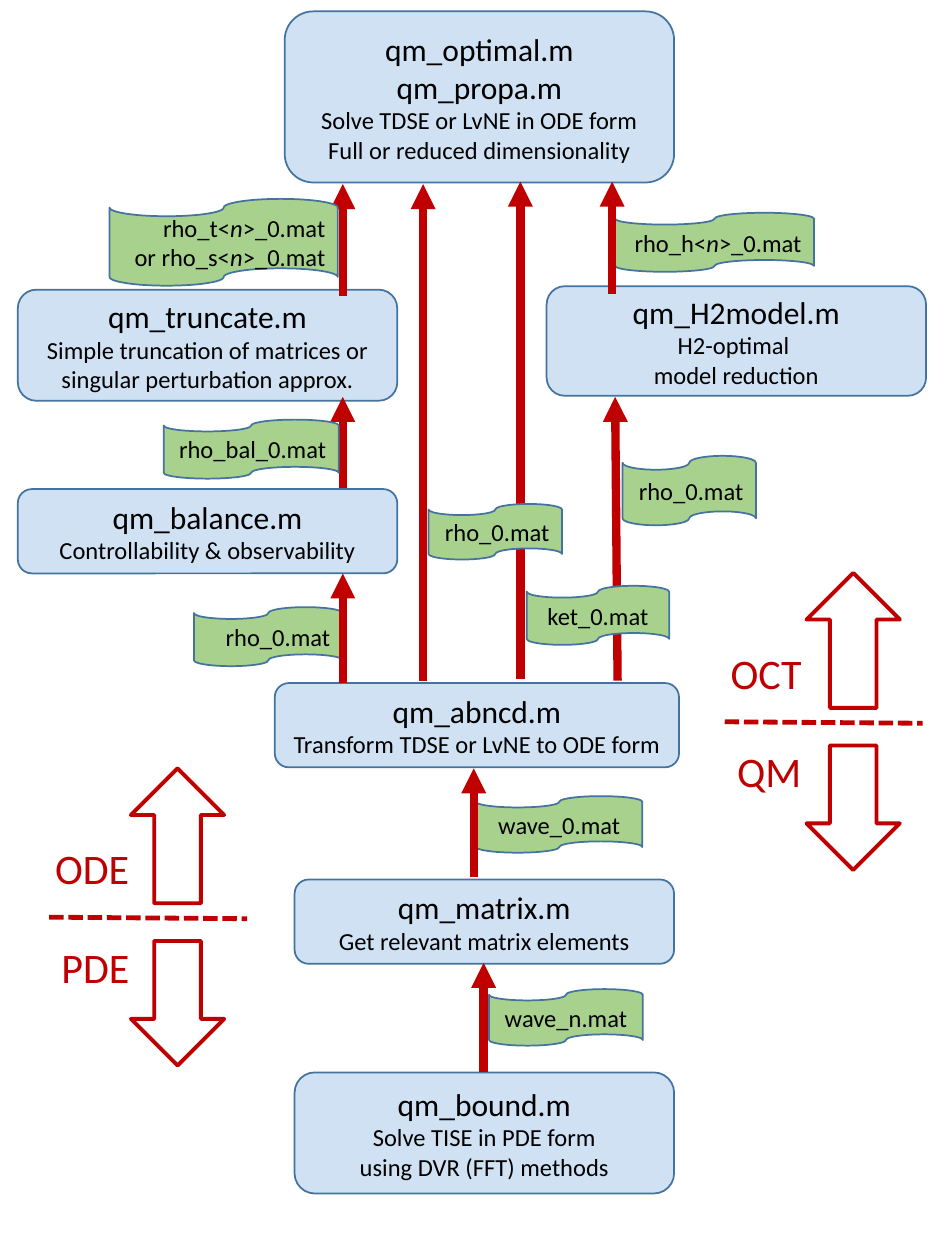
from lxml import etree
from pptx import Presentation
from pptx.dml.color import RGBColor
from pptx.enum.dml import MSO_LINE
from pptx.enum.shapes import MSO_CONNECTOR, MSO_SHAPE
from pptx.enum.text import MSO_ANCHOR, PP_ALIGN
from pptx.oxml.ns import qn
from pptx.util import Cm, Pt

BOX = MSO_SHAPE.FLOWCHART_ALTERNATE_PROCESS
TAPE = MSO_SHAPE.FLOWCHART_PUNCHED_TAPE
UP, DOWN = MSO_SHAPE.UP_ARROW, MSO_SHAPE.DOWN_ARROW
STRAIGHT = MSO_CONNECTOR.STRAIGHT
DASH = MSO_LINE.SQUARE_DOT
MIDDLE = MSO_ANCHOR.MIDDLE
LEFT, CENTER, RIGHT = PP_ALIGN.LEFT, PP_ALIGN.CENTER, PP_ALIGN.RIGHT


def color(value):
    """Turn a hex string into a colour."""
    return RGBColor.from_string(value)


class Flowchart:
    """Holds the style and the page, and draws each kind of element."""

    font = "Calibri"
    ink, red, edge = "000000", "C00000", "43739E"
    blue, green = "5B9BD5", "A9D18E"
    title_size, body_size, label_size = 18, 14, 24

    def __init__(self, page):
        """Start drawing on a page."""
        self.shapes = page.shapes

    def add_text(self, para, text, size, ink, align):
        """Fill a paragraph; stars enclose italics, newlines break lines."""
        para.alignment = align
        for row, line in enumerate(text.split("\n")):
            if row:
                para.add_line_break()
            for index, part in enumerate(line.split("*")):
                span = para.add_run()
                span.text = part
                span.font.name = self.font
                span.font.size = Pt(size)
                span.font.color.rgb = color(ink)
                if index % 2:
                    span.font.italic = True

    def shape(self, kind, place, line, width, fill=None):
        """Add a preset shape with an outline and an optional fill."""
        shape = self.shapes.add_shape(kind, *map(Cm, place))
        shape.shadow.inherit = False
        shape.line.color.rgb = color(line)
        shape.line.width = Pt(width)
        if fill:
            shape.fill.solid()
            shape.fill.fore_color.rgb = color(fill)
        else:
            shape.fill.background()
        return shape

    def paragraphs(self, shape, lines, align):
        """Put (text, size) lines into a shape."""
        frame = shape.text_frame
        frame.word_wrap = True
        frame.vertical_anchor = MIDDLE
        for index, (text, size) in enumerate(lines):
            para = frame.add_paragraph() if index else frame.paragraphs[0]
            self.add_text(para, text, size, self.ink, align)
        return frame

    def box(self, place, titles, details):
        """Add a program box with titles over details."""
        shape = self.shape(BOX, place, self.edge, 1, self.blue)
        tint = shape._element.spPr.find(qn("a:solidFill")).find(qn("a:srgbClr"))
        etree.SubElement(tint, qn("a:alpha"), val="29000")
        lines = [(text, self.title_size) for text in titles]
        lines += [(text, self.body_size) for text in details]
        self.paragraphs(shape, lines, CENTER)

    def tape(self, place, align, *lines):
        """Add a data file tape."""
        shape = self.shape(TAPE, place, self.edge, 1, self.green)
        frame = self.paragraphs(shape, [(text, self.body_size) for text in lines], align)
        frame.margin_top = frame.margin_bottom = Cm(0)

    def line(self, ends, width):
        """Add a straight red line."""
        line = self.shapes.add_connector(STRAIGHT, *map(Cm, ends))
        line.line.color.rgb = color(self.red)
        line.line.width = Pt(width)
        etree.SubElement(line._element.spPr, qn("a:effectLst"))
        return line

    def arrow(self, *ends):
        """Add a flow arrow."""
        outline = self.line(ends, 4.75)._element.spPr.find(qn("a:ln"))
        etree.SubElement(outline, qn("a:tailEnd"), type="triangle")

    def label(self, place, text):
        """Add a large red label."""
        frame = self.shapes.add_textbox(*map(Cm, place)).text_frame
        frame.word_wrap = False
        self.add_text(frame.paragraphs[0], text, self.label_size, self.red, LEFT)

    def divide(self, left, top, above, below):
        """Add a dashed border with an arrow and a label on either side."""
        self.line((left + 0.13, top, left + 4.12, top + 0.03), 2.75).line.dash_style = DASH
        self.shape(UP, (left + 1.78, top - 3, 1.88, 2.72), self.red, 2.25)
        self.shape(DOWN, (left + 1.78, top + 0.48, 1.88, 2.51), self.red, 2.25)
        self.label((left, top - 1.63, 2.03, 1.27), above)
        self.label((left + 0.13, top + 0.36, 1.9, 1.27), below)


deck = Presentation()
deck.slide_width, deck.slide_height = Cm(19.05), Cm(25.4)
chart = Flowchart(deck.slides.add_slide(deck.slide_layouts[6]))

PROGRAMS = [
    ((5.94, 21.62, 7.65, 2.44), ["qm_bound.m"],
     ["Solve TISE in PDE form", "using DVR (FFT) methods"]),
    ((5.94, 17.73, 7.65, 1.7), ["qm_matrix.m"], ["Get relevant matrix elements"]),
    ((5.54, 13.77, 8.15, 1.7), ["qm_abncd.m"], ["Transform TDSE or LvNE to ODE form"]),
    ((11.02, 5.77, 7.65, 2.21), ["qm_H2model.m"], ["H2-optimal \nmodel reduction"]),
    ((0.36, 9.86, 7.65, 1.7), ["qm_balance.m"], ["Controllability & observability"]),
    ((0.36, 5.84, 7.65, 2.24), ["qm_truncate.m"],
     ["Simple truncation of matrices or\nsingular perturbation approx."]),
    ((5.74, 0.23, 7.85, 3.45), ["qm_optimal.m", "qm_propa.m"],
     ["Solve TDSE or LvNE in ODE form", "Full or reduced dimensionality"]),
]
TAPES_BEHIND = [
    ((9.86, 19.94, 3.1, 1.14), CENTER, "wave_n.mat"),
    ((9.6, 16.05, 3.35, 1.14), CENTER, "wave_0.mat"),
    ((3.91, 12.24, 3, 1.19), RIGHT, "rho_0.mat"),
    ((12.4, 4.29, 4.01, 1.19), RIGHT, "rho_h<*n*>_0.mat"),
]
ARROWS = [
    (9.75, 21.62, 9.75, 19.41),
    (9.55, 17.68, 9.55, 15.49),
    (6.91, 13.77, 6.91, 11.56),
    (6.91, 9.83, 6.91, 8),
    (6.91, 5.97, 6.91, 3.71),
    (12.45, 13.72, 12.4, 8),
    (8.53, 13.72, 8.53, 3.71),
    (10.49, 13.69, 10.49, 3.66),
    (12.34, 5.92, 12.34, 3.66),
]
TAPES_IN_FRONT = [
    ((12.55, 9.19, 2.69, 1.4), RIGHT, "rho_0.mat"),
    ((3.3, 8.46, 3.53, 1.19), RIGHT, "rho_bal_0.mat"),
    ((2.21, 4.01, 4.6, 1.75), RIGHT, "rho_t<*n*>_0.mat", "or rho_s<*n*>_0.mat"),
    ((8.64, 10.16, 2.69, 1.12), RIGHT, "rho_0.mat"),
    ((10.62, 11.81, 2.87, 1.19), CENTER, "ket_0.mat"),
]

for draw, items in [
    (chart.box, PROGRAMS),
    (chart.tape, TAPES_BEHIND),
    (chart.arrow, ARROWS),
    (chart.tape, TAPES_IN_FRONT),
]:
    for item in items:
        draw(*item)
chart.divide(0.86, 18.49, "ODE", "PDE")
chart.divide(14.48, 14.55, "OCT", "QM")

deck.save("out.pptx")
